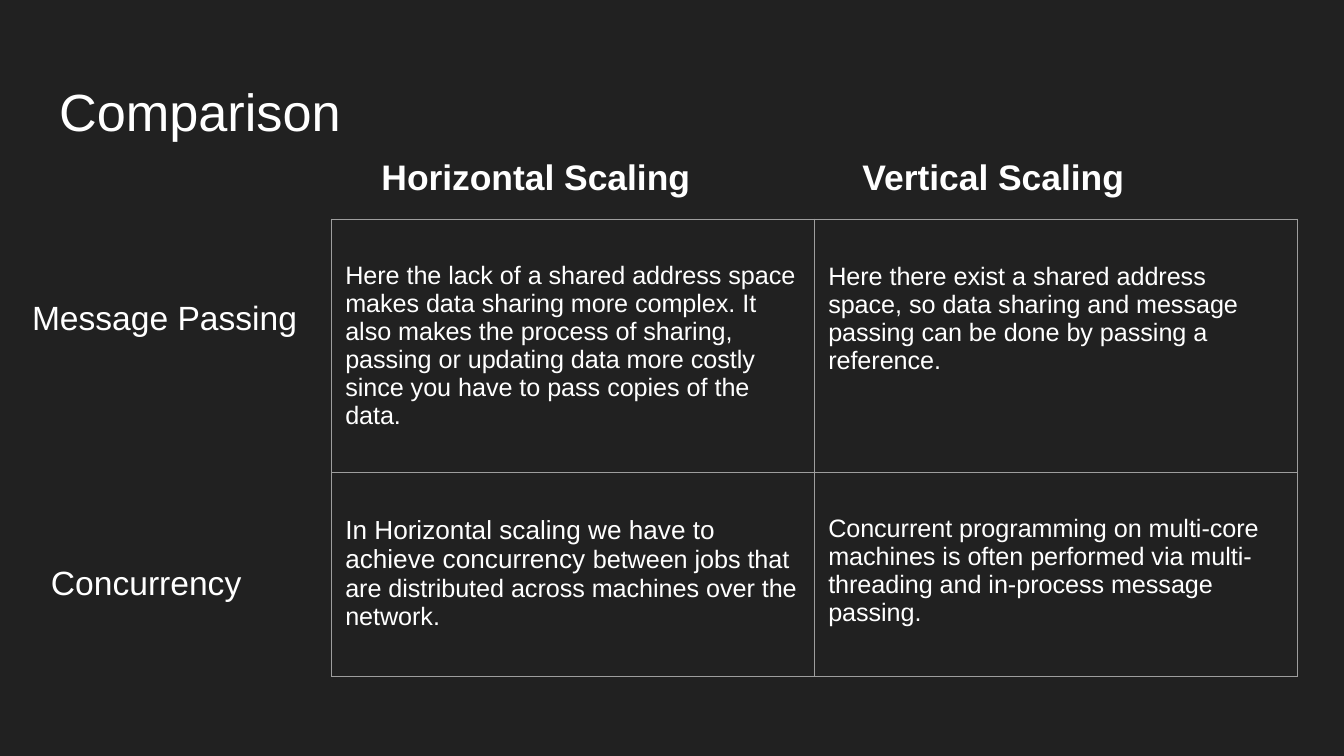
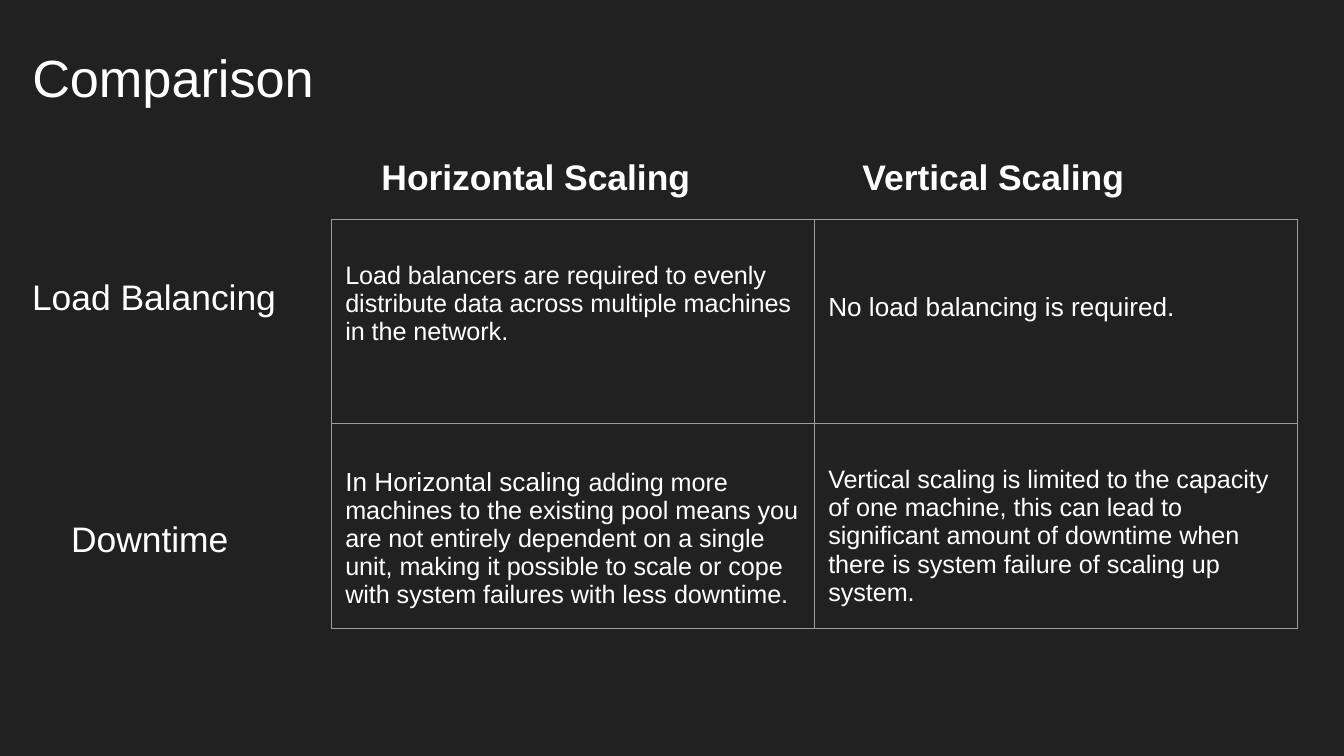
from lxml import etree
from pptx import Presentation
from pptx.dml.color import RGBColor
from pptx.enum import text as t
from pptx.oxml import ns
from pptx.util import Pt

BACKGROUND = RGBColor(0x21, 0x21, 0x21)
WHITE = RGBColor(0xFF, 0xFF, 0xFF)
BORDER = RGBColor(0x9E, 0x9E, 0x9E)
FONT = "Arial"
INSET = 7.2
BODY = 13.5
LARGE = 14
HEADING = 19
LINE = 1.15
TABLE_LEFT, TABLE_TOP, COLUMN_WIDTH = 177.75, 117.5, 258.75
HEADINGS = [
    ("Horizontal Scaling", 197.3, 191.5),
    ("Vertical Scaling", 455, 218.9),
]


class Deck:
    def __init__(self):
        self.presentation = Presentation()
        self.presentation.slide_width = Pt(720)
        self.presentation.slide_height = Pt(405)
        self.slide = None

    def add_slide(self, title, left, top):
        layout = self.presentation.slide_layouts[5]
        self.slide = self.presentation.slides.add_slide(layout)
        fill = self.slide.background.fill
        fill.solid()
        fill.fore_color.rgb = BACKGROUND
        shape = self.slide.shapes.title
        shape.left, shape.top = Pt(left), Pt(top)
        shape.width, shape.height = Pt(671), Pt(45)
        self.fill_frame(shape.text_frame, title, 28)
        shape.text_frame.auto_size = t.MSO_AUTO_SIZE.NONE

    def style(self, paragraph, size=None, bold=False):
        paragraph.alignment = t.PP_ALIGN.LEFT
        font = paragraph.font
        font.name, font.bold = FONT, bold
        font.color.rgb = WHITE
        if size:
            font.size = Pt(size)

    def fill_frame(self, frame, words, size, bold=False):
        frame.word_wrap = True
        frame.vertical_anchor = t.MSO_ANCHOR.TOP
        frame.margin_left = frame.margin_right = Pt(INSET)
        frame.margin_top = frame.margin_bottom = Pt(INSET)
        paragraph = frame.paragraphs[0]
        paragraph.text = words
        self.style(paragraph, size, bold)

    def label(self, words, left, top, width, size, bold=False):
        shape = self.slide.shapes.add_textbox(
            Pt(left), Pt(top), Pt(width), Pt(size * LINE + 2 * INSET))
        self.fill_frame(shape.text_frame, words, size, bold)
        shape.text_frame.auto_size = t.MSO_AUTO_SIZE.SHAPE_TO_FIT_TEXT

    def headings(self):
        for words, left, width in HEADINGS:
            self.label(words, left, 75.6, width, HEADING, bold=True)

    def border(self, cell):
        properties = cell._tc.get_or_add_tcPr()
        for side in ("a:lnL", "a:lnR", "a:lnT", "a:lnB"):
            line = etree.SubElement(properties, ns.qn(side), w=str(Pt(0.75)))
            solid = etree.SubElement(line, ns.qn("a:solidFill"))
            etree.SubElement(solid, ns.qn("a:srgbClr"), val=str(BORDER))

    def fill_cell(self, cell, gap, runs):
        self.border(cell)
        cell.fill.background()
        cell.vertical_anchor = t.MSO_ANCHOR.TOP
        cell.margin_left = cell.margin_right = cell.margin_bottom = Pt(INSET)
        cell.margin_top = Pt(INSET + gap * LINE)
        paragraph = cell.text_frame.paragraphs[0]
        sizes = {size for _, size in runs}
        self.style(paragraph, runs[0][1] if len(sizes) == 1 else None)
        for words, size in runs:
            run = paragraph.add_run()
            run.text = words
            if len(sizes) > 1:
                run.font.size = Pt(size)

    def table(self, heights, rows):
        table = self.slide.shapes.add_table(
            len(rows), len(HEADINGS), Pt(TABLE_LEFT), Pt(TABLE_TOP),
            Pt(COLUMN_WIDTH * len(HEADINGS)), Pt(sum(heights))).table
        table.first_row = table.horz_banding = False
        for column in table.columns:
            column.width = Pt(COLUMN_WIDTH)
        for index, (height, row) in enumerate(zip(heights, rows)):
            table.rows[index].height = Pt(height)
            for cell, (gap, runs) in zip(table.rows[index].cells, row):
                self.fill_cell(cell, gap, runs)


def main():
    deck = Deck()

    deck.add_slide("Comparison", 24.5, 35.3)
    deck.table([135.5, 109.4], [
        [
            (BODY, [("Here the lack of a shared address space makes data sharing "
                     "more complex. It also makes the process of sharing, passing "
                     "or updating data more costly since you have to pass copies "
                     "of the data.", BODY)]),
            (LARGE, [("Here there exist a shared address space, so data sharing "
                      "and message passing can be done by passing a reference.",
                      BODY)]),
        ],
        [
            (LARGE, [("In Horizontal scaling we have to achieve concurrency ", LARGE),
                     ("between jobs that are distributed across machines over "
                      "the network.", BODY)]),
            (BODY, [("Concurrent programming on multi-core machines is often "
                     "performed via multi-threading and in-process message "
                     "passing.", BODY)]),
        ],
    ])
    deck.label("Message Passing", 10.1, 152, 157.7, 18)
    deck.label("Concurrency", 20.2, 293.8, 128.9, 18)
    deck.headings()

    deck.add_slide("Comparison", 10.1, 17.3)
    deck.table([109.6, 109.6], [
        [
            (BODY, [("Load balancers are required to evenly distribute data "
                     "across multiple machines in the network.", BODY)]),
            (2 * LARGE, [("No load balancing is required.", LARGE)]),
        ],
        [
            (LARGE, [("In Horizontal scaling ", LARGE),
                     ("adding more machines to the existing pool means you are "
                      "not entirely dependent on a single unit, making it "
                      "possible to scale or cope with system failures with less "
                      "downtime.", BODY)]),
            (BODY, [("Vertical scaling is limited to the capacity of one machine, "
                     "this can lead to significant amount of downtime when there "
                     "is system failure of scaling up system.", BODY)]),
        ],
    ])
    deck.label("Load Balancing", 10.1, 140.4, 157.7, HEADING)
    deck.label("Downtime", 31, 270, 128.9, HEADING)
    deck.headings()

    deck.presentation.save("out.pptx")


if __name__ == "__main__":
    main()
